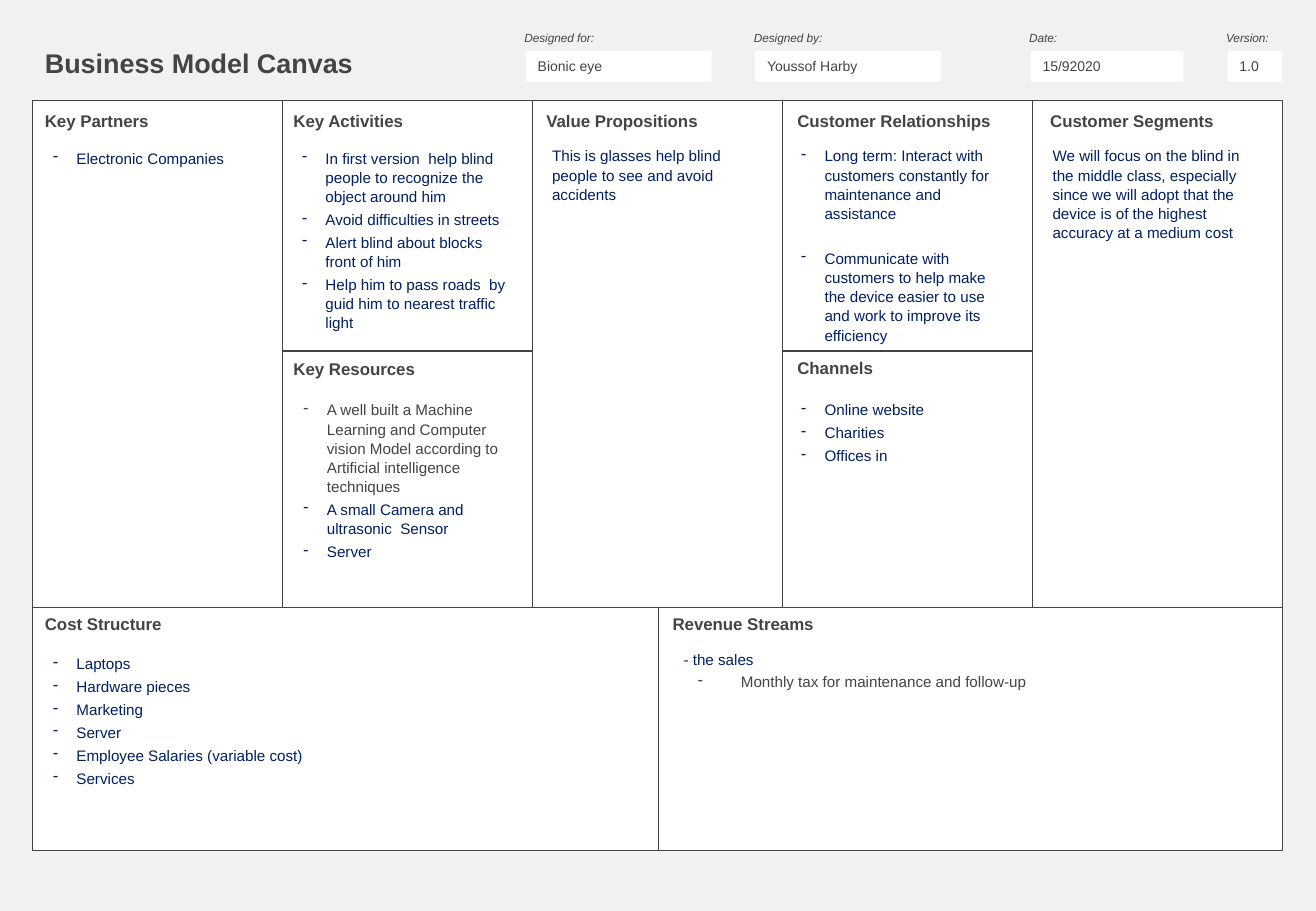
import pptx
import pptx.dml.color
import pptx.enum.shapes
import pptx.enum.text
import pptx.oxml.ns
import pptx.util
from lxml import etree

Cm = pptx.util.Cm
Pt = pptx.util.Pt
RGBColor = pptx.dml.color.RGBColor

GREY = RGBColor(0x44, 0x44, 0x44)
NAVY = RGBColor(0x00, 0x20, 0x60)
WHITE = RGBColor(0xFF, 0xFF, 0xFF)
PAPER = RGBColor(0xF1, 0xF1, 0xF1)


class Canvas:
    font = "Arial"
    margin_x, margin_y = Cm(0.25), Cm(0.13)
    hanging = (0.49, -0.49)

    def __init__(self, slide):
        self.s = slide

    def rect(self, x, y, w, h, fill=None, line=None):
        sp = self.s.shapes.add_shape(
            pptx.enum.shapes.MSO_SHAPE.RECTANGLE, Cm(x), Cm(y), Cm(w), Cm(h))
        sp.shadow.inherit = False
        if fill is None:
            sp.fill.background()
        else:
            sp.fill.solid()
            sp.fill.fore_color.rgb = fill
        if line is None:
            sp.line.fill.background()
        else:
            sp.line.color.rgb = line
            sp.line.width = Pt(0.75)
        return sp

    def frame(self, sp):
        tf = sp.text_frame
        tf.word_wrap = True
        tf.vertical_anchor = pptx.enum.text.MSO_ANCHOR.TOP
        tf.margin_left = tf.margin_right = self.margin_x
        tf.margin_top = tf.margin_bottom = self.margin_y
        return tf

    def run(self, p, text, size, color, bold=False, italic=False):
        p.alignment = pptx.enum.text.PP_ALIGN.LEFT
        r = p.add_run()
        r.text = text
        r.font.name, r.font.size = self.font, Pt(size)
        r.font.bold, r.font.italic = bold, italic
        r.font.color.rgb = color

    def label(self, text, x, y, w, h, size, bold=False, italic=False):
        sp = self.s.shapes.add_textbox(Cm(x), Cm(y), Cm(w), Cm(h))
        self.run(self.frame(sp).paragraphs[0], text, size, GREY, bold, italic)

    def bullet(self, p, color, indent):
        pPr = p._p.get_or_add_pPr()
        pPr.set("marL", str(Cm(indent[0])))
        pPr.set("indent", str(Cm(indent[1])))
        qn = pptx.oxml.ns.qn
        clr = etree.SubElement(pPr, qn("a:buClr"))
        etree.SubElement(clr, qn("a:srgbClr"), val=str(color))
        etree.SubElement(pPr, qn("a:buChar"), char="-")

    def body(self, box, items):
        """Each item is a text and, where it differs, its settings."""
        tf = self.frame(self.rect(*box, fill=WHITE))
        for i, (text, style) in enumerate(items):
            p = tf.paragraphs[0] if i == 0 else tf.add_paragraph()
            color = style.get("color", NAVY)
            indent = style.get("indent", self.hanging)
            if indent:
                self.bullet(p, color, indent)
            p.line_spacing = 1.05
            if i:
                p.space_before = Pt(style.get("before", 2.2))
            self.run(p, text, 9, color)

    def field(self, name, value, x, w):
        self.label(name, x - 0.28, 0.51, w + 0.3, 0.56, 7, italic=True)
        sp = self.rect(x, 1.07, w, 0.64, fill=WHITE)
        self.run(self.frame(sp).paragraphs[0], value, 8.3, GREY)


def bullets(*texts):
    return [(text, {}) for text in texts]


PLAIN = {"indent": None}

# Fields of the header: name, value, left, width
FIELDS = [
    ("Designed for:", "Bionic eye", 11.0, 3.89),
    ("Designed by:", "Youssof Harby", 15.8, 3.89),
    ("Date:", "15/92020", 21.56, 3.2),
    ("Version:", "1.0", 25.68, 1.14),
]

# Grid of the canvas
LEFT, COL = 0.68, 5.23
TOP, MIDDLE, BOTTOM, END = 2.11, 7.34, 12.71, 17.78
SPLIT, RIGHT = 13.77, LEFT + 5 * COL
COLS = [round(LEFT + i * COL, 2) for i in range(6)]

# Blocks: heading, its left and top, cell edges, body box, items
BLOCKS = [
    ("Key Partners", 0.69, 2.18, (COLS[0], TOP, COLS[1], BOTTOM),
     (0.86, 2.97, 4.88, 9.53), bullets("Electronic Companies")),
    ("Key Activities", 5.89, 2.18, (COLS[1], TOP, COLS[2], MIDDLE),
     (6.07, 2.97, 4.88, 4.24), bullets(
         "In first version  help blind people to recognize the object around him",
         "Avoid difficulties in streets",
         "Alert blind about blocks front of him",
         "Help him to pass roads  by guid him to nearest traffic light")),
    ("Key Resources", 5.89, 7.36, (COLS[1], MIDDLE, COLS[2], BOTTOM),
     (6.1, 8.23, 4.88, 4.24), [
         ("A well built a Machine Learning and Computer vision Model "
          "according to Artificial intelligence techniques", {"color": GREY}),
         *bullets("A small Camera and ultrasonic  Sensor", "Server")]),
    ("Value Propositions", 11.18, 2.18, (COLS[2], TOP, COLS[3], BOTTOM),
     (11.3, 2.92, 4.88, 9.55), [
         ("This is glasses help blind people to see and avoid accidents", PLAIN)]),
    ("Customer Relationships", 16.43, 2.18, (COLS[3], TOP, COLS[4], MIDDLE),
     (16.51, 2.92, 4.88, 4.24), [
         ("Long term: Interact with customers constantly for maintenance "
          "and assistance", {}),
         ("Communicate with customers to help make the device easier to use "
          "and work to improve its efficiency", {"before": 15.3})]),
    ("Channels", 16.43, 7.34, (COLS[3], MIDDLE, COLS[4], BOTTOM),
     (16.51, 8.23, 4.88, 4.24),
     bullets("Online website", "Charities", "Offices in")),
    ("Customer Segments", 21.72, 2.18, (COLS[4], TOP, COLS[5], BOTTOM),
     (21.77, 2.92, 4.88, 9.55), [
         ("We will focus on the blind in the middle class, especially since we "
          "will adopt that the device is of the highest accuracy at a medium "
          "cost", PLAIN)]),
    ("Cost Structure", 0.69, 12.7, (LEFT, BOTTOM, SPLIT, END),
     (0.86, 13.54, 12.67, 4.01), bullets(
         "Laptops", "Hardware pieces", "Marketing", "Server",
         "Employee Salaries (variable cost)", "Services")),
    ("Revenue Streams", 13.82, 12.7, (SPLIT, BOTTOM, RIGHT, END),
     (14.05, 13.44, 12.6, 4.24), [
         ("- the sales", PLAIN),
         ("Monthly tax for maintenance and follow-up",
          {"color": GREY, "indent": (1.2, -0.9)})]),
]


def main():
    prs = pptx.Presentation()
    prs.slide_width, prs.slide_height = Cm(27.53), Cm(19.05)
    s = prs.slides.add_slide(prs.slide_layouts[6])
    s.background.fill.solid()
    s.background.fill.fore_color.rgb = PAPER
    canvas = Canvas(s)

    # Header
    canvas.label("Business Model Canvas", 0.69, 0.84, 7.14, 0.94, 16, bold=True)
    for field in FIELDS:
        canvas.field(*field)

    # Canvas blocks
    canvas.rect(LEFT, TOP, RIGHT - LEFT, END - TOP, fill=WHITE)
    for heading, x, y, (x1, y1, x2, y2), box, items in BLOCKS:
        canvas.rect(x1, y1, x2 - x1, y2 - y1, line=GREY)
        canvas.label(heading, x, y, 4.85, 0.69, 10, bold=True)
        canvas.body(box, items)

    prs.save("out.pptx")


if __name__ == "__main__":
    main()
